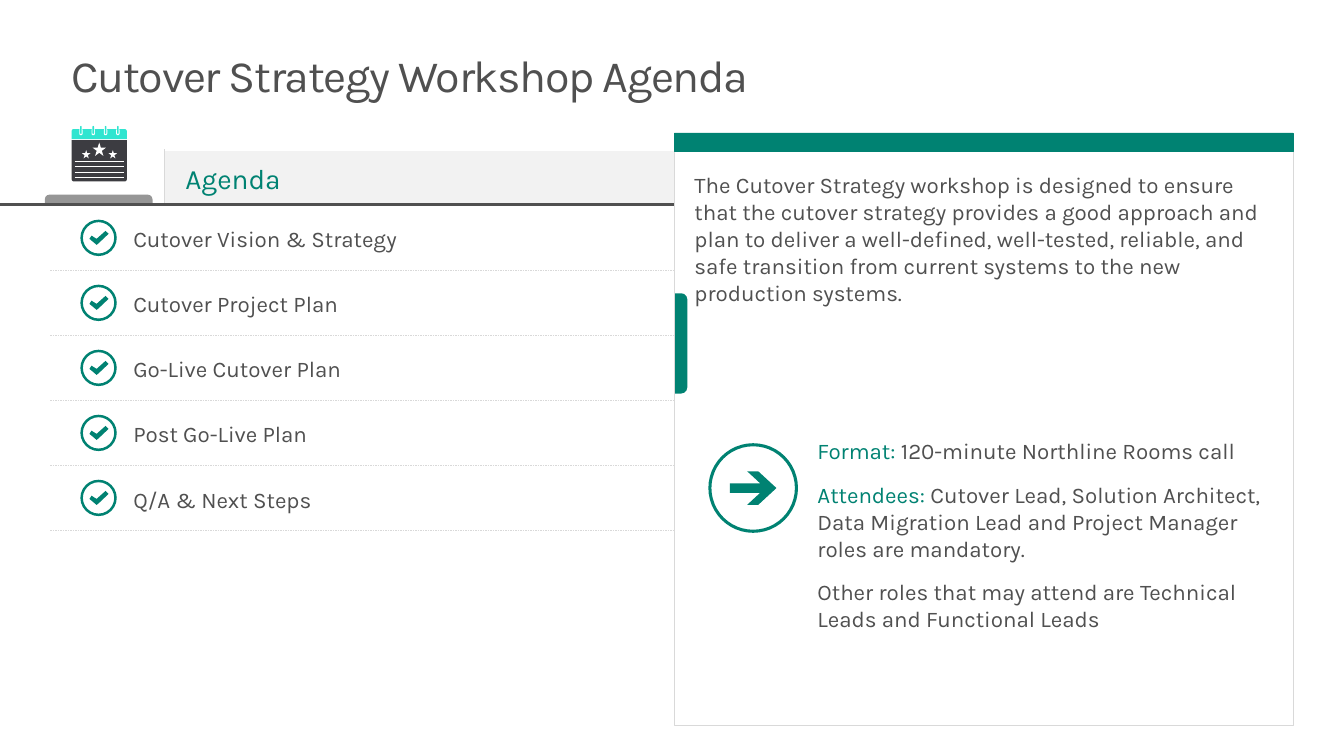
from dataclasses import dataclass

from lxml.etree import SubElement
from pptx import Presentation
from pptx.dml.color import RGBColor
from pptx.enum.dml import MSO_LINE_DASH_STYLE as Dash
from pptx.enum.shapes import MSO_CONNECTOR_TYPE as Connector, MSO_SHAPE as Preset
from pptx.enum.text import MSO_ANCHOR as Anchor, MSO_AUTO_SIZE as AutoSize, PP_ALIGN as Align
from pptx.oxml.ns import qn
from pptx.util import Pt

FONT = "Karla"
COLOURS = {
    "white": "FFFFFF",
    "text": "505050",
    "teal": "008272",
    "mint": "30E5D0",
    "charcoal": "3C3C41",
    "band": "F2F2F2",
    "rule": "D9D9D9",
    "tab": "969696",
}
AGENDA = [
    "Cutover Vision & Strategy",
    "Cutover Project Plan",
    "Go-Live Cutover Plan",
    "Post Go-Live Plan",
    "Q/A & Next Steps",
]
PURPOSE = (
    "The Cutover Strategy workshop is designed to ensure that the cutover strategy "
    "provides a good approach and plan to deliver a well-defined, well-tested, reliable, "
    "and safe transition from current systems to the new production systems."
)
DETAILS = [
    [("Format: ", "teal"), ("120-minute Northline Rooms call", "text")],
    [
        ("Attendees: ", "teal"),
        ("Cutover Lead, Solution Architect, Data Migration Lead and Project Manager "
         "roles are mandatory.", "text"),
    ],
    [("Other roles that may attend are Technical Leads and Functional Leads", "text")],
]
ROW_PITCH = 46.44
PANEL_LEFT = 481.7
PANEL_WIDTH = 442.1
CHECK = [(5, -5), (-1.4, 0.7), (-5, -1.6), (-6.5, 0.7), (-2.2, 4.3), (-1.4, 5), (0, 3.9), (7.2, -2.9)]
ARROW = [(-4.3, 12), (5, 3.4), (-16.6, 3.4), (-16.6, -3.4), (5, -3.4), (-4.3, -12),
         (3.6, -12), (16.6, 0), (3.6, 12)]


@dataclass
class Block:
    preset: Preset
    left: float
    top: float
    width: float
    height: float
    fill: str
    line: str | None = None
    adjust: float | None = None
    rotation: float = 0


@dataclass
class Rule:
    start: tuple[float, float]
    end: tuple[float, float]
    colour: str
    weight: float = 0.25
    dash: Dash | None = None


@dataclass
class Badge:
    x: float
    y: float
    diameter: float
    thickness: float
    symbol: list[tuple[float, float]]


def colour(name: str) -> RGBColor:
    return RGBColor.from_string(COLOURS[name])


def paint(shape, fill: str, line: str | None = None) -> None:
    shape.shadow.inherit = False
    shape.fill.solid()
    shape.fill.fore_color.rgb = colour(fill)
    if line:
        shape.line.color.rgb = colour(line)
        shape.line.width = Pt(0.25)
    else:
        shape.line.fill.background()


def draw_block(page, block: Block):
    shape = page.shapes.add_shape(
        block.preset, Pt(block.left), Pt(block.top), Pt(block.width), Pt(block.height))
    if block.adjust is not None:
        shape.adjustments[0] = block.adjust
    shape.rotation = block.rotation
    paint(shape, block.fill, block.line)
    return shape


def draw_rule(page, rule: Rule) -> None:
    line = page.shapes.add_connector(
        Connector.STRAIGHT, *(Pt(value) for value in rule.start + rule.end))
    line.line.color.rgb = colour(rule.colour)
    line.line.width = Pt(rule.weight)
    if rule.dash:
        line.line.dash_style = rule.dash
    SubElement(line._element.spPr, qn("a:effectLst"))


def draw_badge(page, badge: Badge) -> None:
    size = badge.diameter
    draw_block(page, Block(Preset.DONUT, badge.x - size / 2, badge.y - size / 2, size, size,
                           "teal", adjust=badge.thickness / size))
    points = [(Pt(badge.x + x), Pt(badge.y + y)) for x, y in badge.symbol]
    outline = page.shapes.build_freeform(*points[0])
    outline.add_line_segments(points[1:], close=True)
    paint(outline.convert_to_shape(), "teal")


def place(shape, left: float, top: float, width: float, height: float) -> None:
    shape.left, shape.top, shape.width, shape.height = map(Pt, (left, top, width, height))


def write(box, paragraphs: list[list[tuple[str, str]]], *, size: float = 16,
          insets: tuple[float, float, float, float], before: float = 0, after: float = 0,
          leading: float = 1.0, tracking: float = 0) -> None:
    frame = box.text_frame
    frame.word_wrap = True
    frame.auto_size = AutoSize.NONE
    frame.vertical_anchor = Anchor.TOP
    frame.margin_left, frame.margin_top, frame.margin_right, frame.margin_bottom = map(Pt, insets)
    for index, spans in enumerate(paragraphs):
        para = frame.add_paragraph() if index else frame.paragraphs[0]
        para.alignment = Align.LEFT
        para.line_spacing = leading
        para.space_before, para.space_after = Pt(before), Pt(after)
        properties = para._p.get_or_add_pPr()
        properties.set("marL", "0")
        properties.set("indent", "0")
        SubElement(properties, qn("a:buNone"))
        for text, tint in spans:
            span = para.add_run()
            span.text = text
            span.font.name = FONT
            span.font.size = Pt(size)
            span.font.color.rgb = colour(tint)
            if tracking:
                span._r.get_or_add_rPr().set("spc", str(round(tracking * 100)))


def draw_calendar(page) -> None:
    left, width = 51.2, 39.4
    draw_block(page, Block(Preset.ROUND_2_SAME_RECTANGLE, left, 92.2, width, 7.2, "mint", adjust=0.2))
    draw_block(page, Block(Preset.ROUND_2_SAME_RECTANGLE, left, 100, width, 29.6, "charcoal",
                           adjust=0.05, rotation=180))
    for index in range(4):
        x = 57.8 + 8.8 * index
        draw_block(page, Block(Preset.ROUNDED_RECTANGLE, x - 1.2, 91.8, 2.4, 4.8, "white", adjust=0.5))
        draw_block(page, Block(Preset.ROUNDED_RECTANGLE, x - 0.55, 90, 1.1, 5.6, "mint", adjust=0.5))
        y = 115.4 + 3.7 * index
        draw_rule(page, Rule((53.3, y), (88.5, y), "white", 0.5))
    for x, y, size in [(61.6, 110.2, 6), (70.9, 106.6, 9.6), (80.6, 110.2, 6)]:
        draw_block(page, Block(Preset.STAR_5_POINT, x - size / 2, y - size / 2, size, size, "white"))


def main() -> None:
    deck = Presentation()
    deck.slide_width, deck.slide_height = Pt(960), Pt(540)
    page = deck.slides.add_slide(deck.slide_layouts[3])
    title, agenda, details = page.placeholders

    place(title, 39.6, 31, 867.6, 39)
    write(title, [[("Cutover Strategy Workshop Agenda", "text")]], size=32,
          insets=(11.5, 7.2, 11.5, 7.2), leading=0.9, tracking=-1)

    heading = draw_block(page, Block(Preset.RECTANGLE, 118, 108, 363.7, 37.5, "band"))
    write(heading, [[("Agenda", "teal")]], size=20, insets=(14.4, 7.2, 14.4, 3.6))
    panel = draw_block(page, Block(Preset.RECTANGLE, PANEL_LEFT, 108, PANEL_WIDTH, 409.7, "white", "rule"))
    write(panel, [[(PURPOSE, "text")]], insets=(14.4, 14.4, 14.4, 14.4))
    draw_block(page, Block(Preset.ROUND_2_SAME_RECTANGLE, 32, 139, 77, 7, "tab", adjust=0.5))

    draw_rule(page, Rule((117.6, 106.6), (117.6, 145.5), "rule"))
    draw_rule(page, Rule((0, 146.2), (PANEL_LEFT, 146.2), "text", 2.25))
    for row in range(len(AGENDA)):
        y = 193 + ROW_PITCH * row
        draw_rule(page, Rule((36, y), (PANEL_LEFT, y), "rule", dash=Dash.DASH))
        draw_badge(page, Badge(70.4, 169.9 + ROW_PITCH * row, 26, 1.8, CHECK))

    place(agenda, 39.6, 149, 442, 232)
    write(agenda, [[(item, "text")] for item in AGENDA],
          insets=(55.6, 11.6, 7.2, 3.6), after=27.4)

    draw_block(page, Block(Preset.RECTANGLE, PANEL_LEFT, 95, PANEL_WIDTH, 13, "teal", "teal"))
    draw_block(page, Block(Preset.ROUND_2_SAME_RECTANGLE, 450.8, 241, 71.6, 8.6, "teal",
                           adjust=0.5, rotation=90))
    draw_badge(page, Badge(538, 348.6, 64, 2.2, ARROW))
    draw_calendar(page)

    place(details, 569.5, 305.3, 344.2, 153.4)
    write(details, DETAILS, insets=(14.4, 7.2, 7.2, 7.2), before=6, after=6)
    page.shapes._spTree.append(details._element)
    deck.save("out.pptx")


if __name__ == "__main__":
    main()
